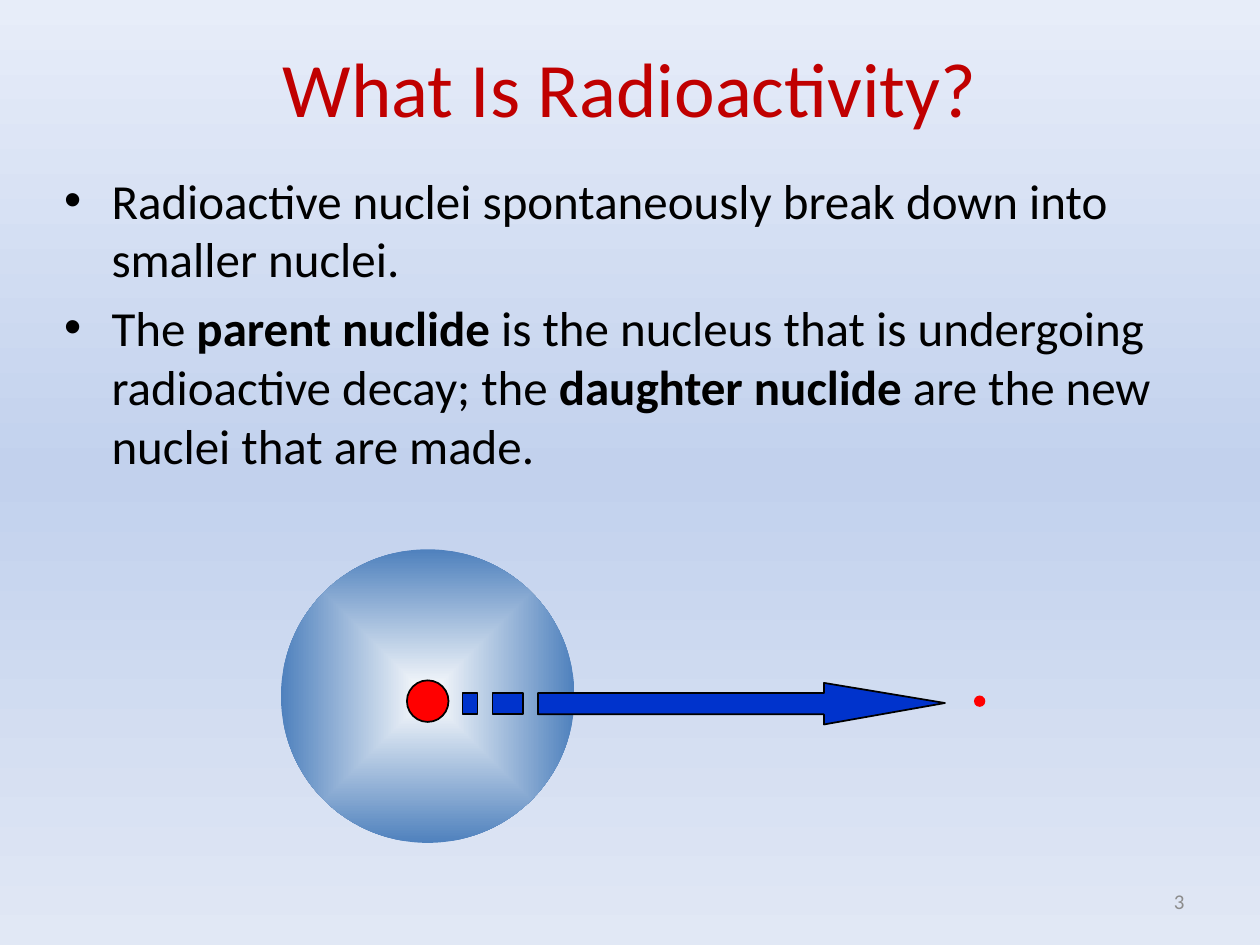
from lxml.etree import SubElement
from pptx import Presentation
from pptx.dml.color import RGBColor
from pptx.enum.shapes import MSO_SHAPE
from pptx.enum.text import MSO_ANCHOR, MSO_AUTO_SIZE, PP_ALIGN
from pptx.oxml.ns import qn
from pptx.util import Inches, Pt

COLORS = {
    "title": "C00000",
    "ink": "000000",
    "number": "8C8C8C",
    "particle": "FF0000",
    "arrow": "0033CC",
    "core": "FFFFFF",
    "rim": "4F81BD",
    "sky_top": "E7EDF9",
    "sky_middle": "C2D1ED",
    "sky_bottom": "E1E8F5",
}


class SlideMaker:
    font_name = "Calibri"

    def __init__(self, slide):
        self.slide = slide

    def color(self, name):
        return RGBColor.from_string(COLORS[name])

    def gradient(self, fill, stops, radial=False):
        fill.gradient()
        stop_list = fill.gradient_stops[0]._gs.getparent()
        for stop in list(stop_list):
            stop_list.remove(stop)
        for position, name in stops:
            stop = SubElement(stop_list, qn("a:gs"), pos=str(position * 1000))
            SubElement(stop, qn("a:srgbClr"), val=COLORS[name])
        grad_fill = stop_list.getparent()
        grad_fill.remove(grad_fill.find(qn("a:lin")))
        if radial:
            focus = SubElement(grad_fill, qn("a:path"), path="shape")
            edges = {side: "50000" for side in "ltrb"}
            SubElement(focus, qn("a:fillToRect"), **edges)
        else:
            SubElement(grad_fill, qn("a:lin"), ang="5400000", scaled="0")

    def place(self, shape, left, top, width, height):
        box = {"left": left, "top": top, "width": width, "height": height}
        for side, inches in box.items():
            setattr(shape, side, Inches(inches))

    def format_run(self, run, size, color, bold=False):
        style = {"name": self.font_name, "size": Pt(size), "bold": bold}
        for attribute, value in style.items():
            setattr(run.font, attribute, value)
        run.font.color.rgb = self.color(color)

    def format_frame(self, frame, anchor):
        style = {
            "word_wrap": True,
            "auto_size": MSO_AUTO_SIZE.NONE,
            "vertical_anchor": anchor,
        }
        for attribute, value in style.items():
            setattr(frame, attribute, value)

    def title(self, text, *box):
        heading = self.slide.shapes.title
        self.place(heading, *box)
        self.format_frame(heading.text_frame, MSO_ANCHOR.MIDDLE)
        paragraph = heading.text_frame.paragraphs[0]
        paragraph.alignment = PP_ALIGN.CENTER
        run = paragraph.add_run()
        run.text = text
        self.format_run(run, 44, "title")

    def bullets(self, points, *box):
        body = self.slide.placeholders[1]
        self.place(body, *box)
        frame = body.text_frame
        self.format_frame(frame, MSO_ANCHOR.TOP)
        for index, parts in enumerate(points):
            paragraph = frame.add_paragraph() if index else frame.paragraphs[0]
            paragraph.space_before = Pt(5.6 if index else 0)
            for text, bold in parts:
                run = paragraph.add_run()
                run.text = text
                self.format_run(run, 28, "ink", bold)

    def page_number(self, text, *box):
        frame = self.slide.shapes.add_textbox(*map(Inches, box)).text_frame
        self.format_frame(frame, MSO_ANCHOR.MIDDLE)
        paragraph = frame.paragraphs[0]
        paragraph.alignment = PP_ALIGN.RIGHT
        run = paragraph.add_run()
        run.text = text
        self.format_run(run, 12, "number")

    def group(self):
        return self.slide.shapes.add_group_shape()

    def paint(self, shape, fill=None, outlined=False):
        shape.shadow.inherit = False
        if fill:
            shape.fill.solid()
            shape.fill.fore_color.rgb = self.color(fill)
        if outlined:
            shape.line.color.rgb = self.color("ink")
            shape.line.width = Pt(1)
        else:
            shape.line.fill.background()

    def circle(self, group, left, top, size, fill=None, outlined=False):
        shape = group.shapes.add_shape(
            MSO_SHAPE.OVAL, *map(Inches, (left, top, size, size))
        )
        self.paint(shape, fill, outlined)
        return shape

    def outline(self, group, contours, fill):
        first, *others = [
            [(Inches(x), Inches(y)) for x, y in contour] for contour in contours
        ]
        builder = group.shapes.build_freeform(*first[0])
        builder.add_line_segments(first[1:], close=True)
        for start, *corners in others:
            builder.move_to(*start)
            builder.add_line_segments(corners, close=True)
        self.paint(builder.convert_to_shape(), fill, outlined=True)


def main():
    presentation = Presentation()
    presentation.slide_width = Inches(10)
    presentation.slide_height = Inches(7.5)
    slide = presentation.slides.add_slide(presentation.slide_layouts[1])
    maker = SlideMaker(slide)

    sky = [(0, "sky_top"), (50, "sky_middle"), (100, "sky_bottom")]
    maker.gradient(slide.background.fill, sky)
    maker.title("What Is Radioactivity?", 0.5, 0.19, 9, 1)
    points = [
        [("Radioactive nuclei spontaneously break down into smaller nuclei.", False)],
        [
            ("The ", False),
            ("parent nuclide", True),
            (" is the nucleus that is undergoing radioactive decay; the ", False),
            ("daughter nuclide", True),
            (" are the new nuclei that are made.", False),
        ],
    ]
    maker.bullets(points, 0.41, 1.3, 9.19, 5.5)
    maker.page_number("3", 7.17, 6.95, 2.33, 0.4)

    atom = maker.group()
    cloud = maker.circle(atom, 2.23, 4.36, 2.33)
    maker.gradient(cloud.fill, [(0, "core"), (100, "rim")], radial=True)
    maker.circle(atom, 3.23, 5.4, 0.33, "particle", outlined=True)

    emission = maker.group()
    shaft_top, shaft_bottom = 5.5, 5.67
    arrow = [
        (6.54, 5.42), (6.54, shaft_top), (4.27, shaft_top),
        (4.27, shaft_bottom), (6.54, shaft_bottom), (6.54, 5.75), (7.5, 5.58),
    ]
    stripes = [
        [(left, shaft_top), (left, shaft_bottom),
         (right, shaft_bottom), (right, shaft_top)]
        for left, right in [(3.91, 4.15), (3.67, 3.79)]
    ]
    maker.outline(emission, [arrow, *stripes], "arrow")
    maker.circle(emission, 7.73, 5.52, 0.09, "particle")

    presentation.save("out.pptx")


if __name__ == "__main__":
    main()
